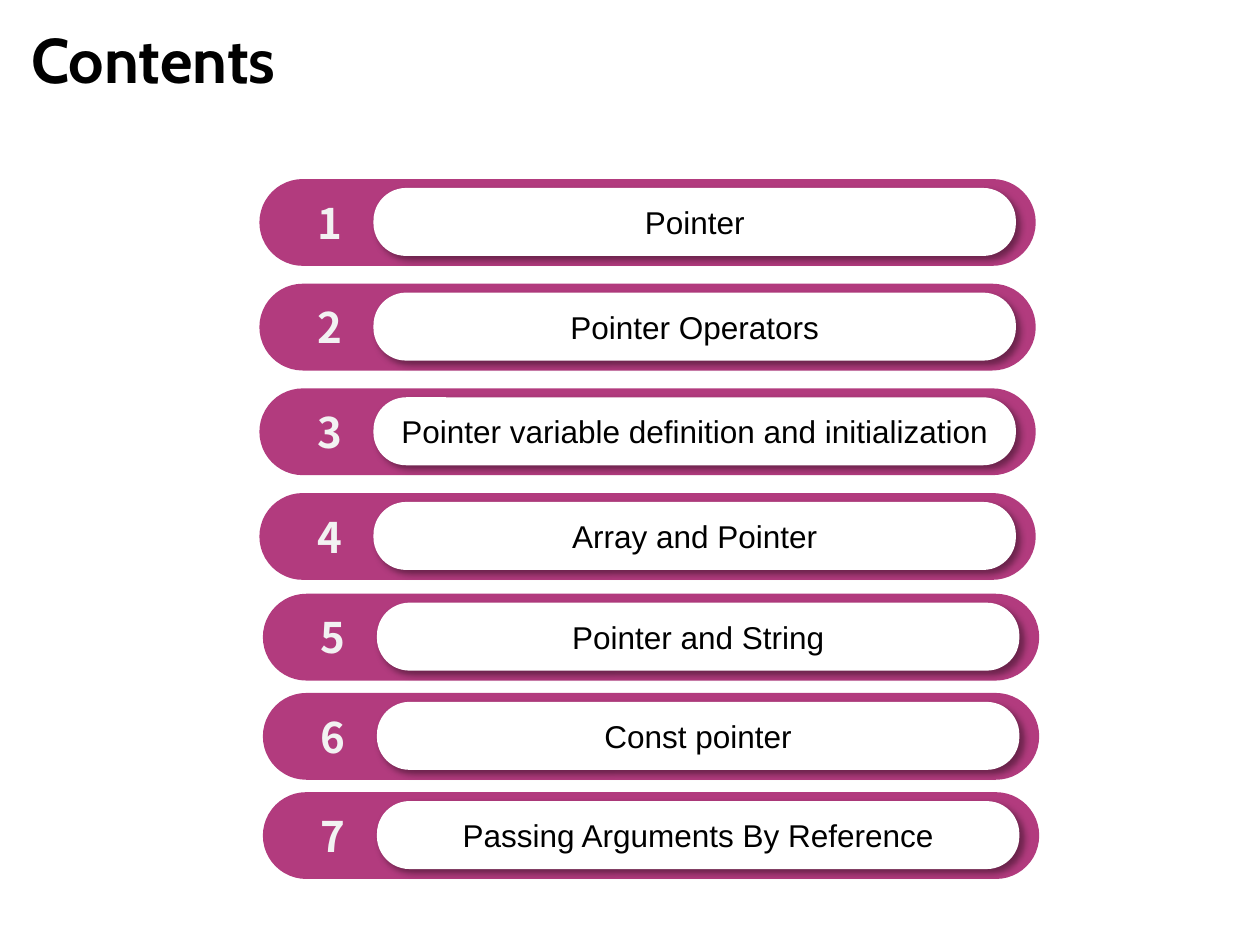
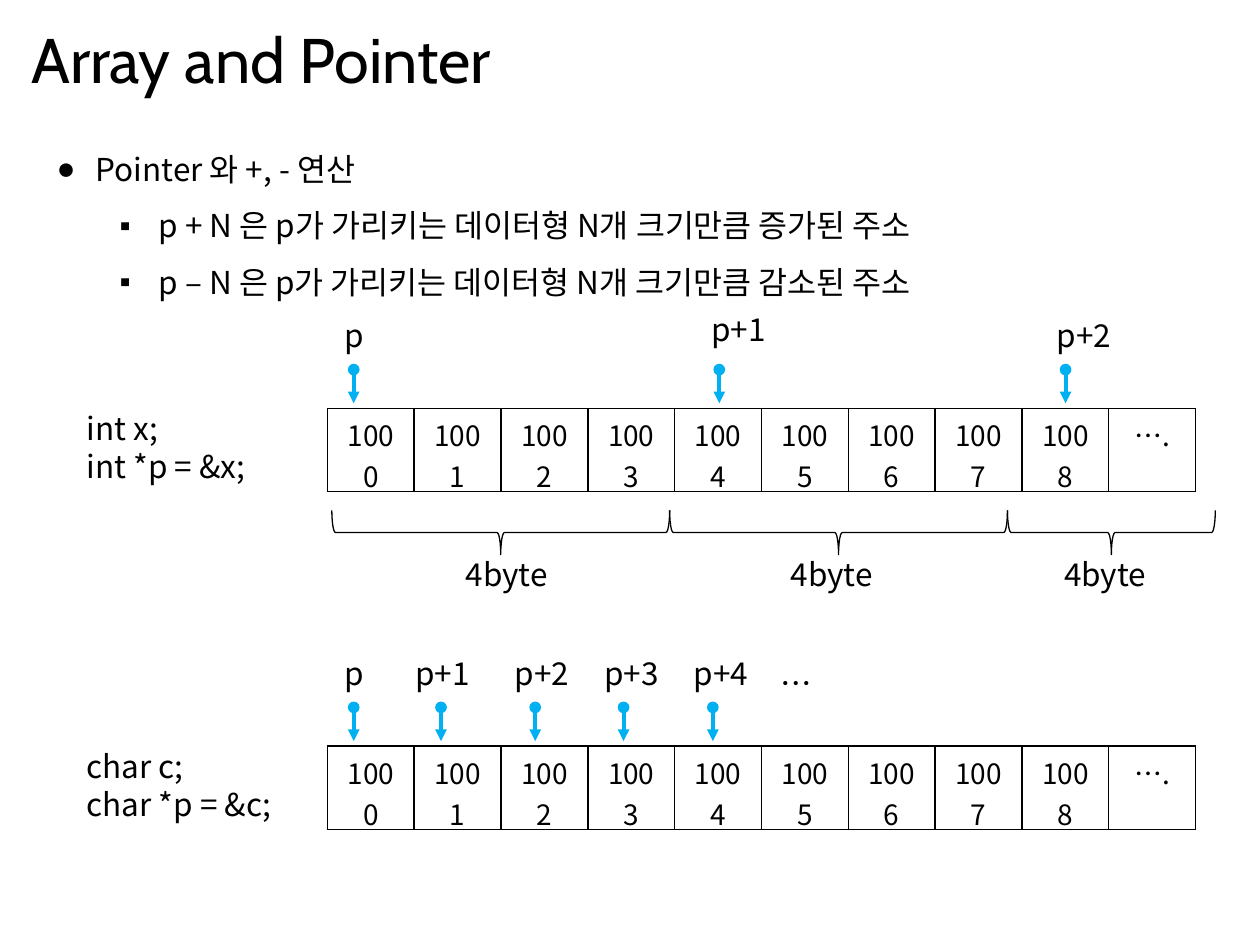
from dataclasses import dataclass

from lxml import etree
from pptx import Presentation
from pptx.dml.color import RGBColor
from pptx.enum.shapes import MSO_CONNECTOR, MSO_SHAPE
from pptx.enum.text import MSO_ANCHOR, MSO_AUTO_SIZE, PP_ALIGN
from pptx.oxml.ns import qn
from pptx.util import Cm, Pt

LEFT, CENTER = PP_ALIGN.LEFT, PP_ALIGN.CENTER
TOP, MIDDLE = MSO_ANCHOR.TOP, MSO_ANCHOR.MIDDLE
GROW = MSO_AUTO_SIZE.SHAPE_TO_FIT_TEXT
ROUNDED, BRACE = MSO_SHAPE.ROUNDED_RECTANGLE, MSO_SHAPE.LEFT_BRACE
STRAIGHT = MSO_CONNECTOR.STRAIGHT


@dataclass(frozen=True)
class Theme:
    ink: str = "000000"
    paper: str = "FFFFFF"
    band: str = "B23B7E"
    number: str = "F2F2F2"
    arrow: str = "00B0F0"
    title_font: str = "Cabin"
    topic_font: str = "Arial"
    body_font: str = "Noto Sans CJK KR"
    title_size: int = 36
    number_size: int = 24
    body_size: int = 18
    cell_size: int = 16


THEME = Theme()


@dataclass(frozen=True)
class Box:
    left: float
    top: float
    width: float
    height: float

    def inner(self, left, top, width, height):
        """A box whose corner is measured from this box's corner."""
        return Box(self.left + left, self.top + top, width, height)

    def lengths(self):
        return Cm(self.left), Cm(self.top), Cm(self.width), Cm(self.height)


def rgb(colour):
    return RGBColor.from_string(colour)


def add_xml(parent, tag, **attributes):
    names = {key: str(value) for key, value in attributes.items()}
    return etree.SubElement(parent, qn(tag), names)


def write_para(para, text, font=THEME.body_font, size=THEME.body_size,
               colour=THEME.ink, bold=False, align=LEFT):
    para.alignment = align
    span = para.add_run()
    span.text = text
    span.font.name = font
    span.font.size = Pt(size)
    span.font.bold = bold
    span.font.color.rgb = rgb(colour)
    add_xml(span.font._element, "a:ea", typeface=font)


def write_frame(frame, text, wrap=True, anchor=TOP, **style):
    """Fill a text frame with one paragraph for each line of text."""
    frame.word_wrap = wrap
    frame.vertical_anchor = anchor
    for index, line in enumerate(text.split("\n")):
        para = frame.add_paragraph() if index else frame.paragraphs[0]
        write_para(para, line, **style)


def add_text(page, box, text, grow=True, **style):
    frame = page.shapes.add_textbox(*box.lengths()).text_frame
    write_frame(frame, text, **style)
    if grow:
        frame.auto_size = GROW
    return frame


def add_title(page, text, bold=False):
    add_text(page, Box(0.38, 0.3, 22.86, 1.75), text, grow=False,
             anchor=MIDDLE, font=THEME.title_font, size=THEME.title_size,
             bold=bold)


def add_pill(page, box, fill, roundness):
    pill = page.shapes.add_shape(ROUNDED, *box.lengths())
    pill.adjustments[0] = roundness
    pill.shadow.inherit = False
    pill.fill.solid()
    pill.fill.fore_color.rgb = rgb(fill)
    pill.line.fill.background()
    return pill


def cast_shadow(shape):
    effects = shape._element.spPr.find(qn("a:effectLst"))
    shadow = add_xml(effects, "a:outerShdw", blurRad=Pt(4), dist=Pt(3),
                     dir=45 * 60000, algn="tl", rotWithShape=0)
    add_xml(add_xml(shadow, "a:srgbClr", val=THEME.ink), "a:alpha", val=40000)


def add_topic(page, box, number, topic):
    add_pill(page, box, THEME.band, 0.5)
    add_text(page, box.inner(0.68, 0.24, 1.47, 1.27), str(number),
             font=THEME.body_font, size=THEME.number_size,
             colour=THEME.number, bold=True, align=CENTER)
    label = add_pill(page, box.inner(2.3, 0.18, 12.95, 1.37),
                     THEME.paper, 0.48)
    cast_shadow(label)
    write_frame(label.text_frame, topic, anchor=MIDDLE,
                font=THEME.topic_font, align=CENTER)


def add_topics(page, box, topics, pitch, first):
    for index, topic in enumerate(topics):
        row = box.inner(0, index * pitch, box.width, 1.75)
        add_topic(page, row, first + index, topic)


def add_bullets(page, box, items):
    """Items are pairs of indent level and text."""
    frame = add_text(page, box, "\n".join(text for _, text in items),
                     wrap=False)
    for para, (level, _) in zip(frame.paragraphs, items):
        para.level = level
        para.line_spacing = 1.5
        props = para._p.get_or_add_pPr()
        props.set("marL", str(Cm((0.79, 2.06)[level])))
        props.set("indent", str(Cm(-0.79)))
        add_xml(props, "a:buFont", typeface=THEME.topic_font)
        add_xml(props, "a:buChar", char="●▪"[level])


def add_arrow(page, x, top, bottom):
    arrow = page.shapes.add_connector(STRAIGHT, Cm(x), Cm(top),
                                      Cm(x), Cm(bottom))
    arrow.line.color.rgb = rgb(THEME.arrow)
    arrow.line.width = Pt(2.25)
    line = arrow.line._get_or_add_ln()
    add_xml(line, "a:headEnd", type="oval")
    add_xml(line, "a:tailEnd", type="triangle")
    add_xml(arrow._element.spPr, "a:effectLst")


def add_brace(page, box):
    """A brace below a range, pointing down: a left brace turned upright."""
    shift = (box.width - box.height) / 2
    upright = box.inner(shift, -shift, box.height, box.width)
    brace = page.shapes.add_shape(BRACE, *upright.lengths())
    brace.rotation = 270
    brace.shadow.inherit = False
    brace.fill.background()
    brace.line.color.rgb = rgb(THEME.ink)
    brace.line.width = Pt(0.75)


def frame_cell(cell):
    props = cell._tc.get_or_add_tcPr()
    for side in ("a:lnL", "a:lnR", "a:lnT", "a:lnB"):
        line = add_xml(props, side, w=Pt(1))
        add_xml(add_xml(line, "a:solidFill"), "a:srgbClr", val=THEME.ink)
    cell.fill.background()


def add_cells(page, box, values):
    table = page.shapes.add_table(1, len(values), *box.lengths()).table
    table.first_row = table.horz_banding = False
    for index, value in enumerate(values):
        table.columns[index].width = Cm(box.width / len(values))
        cell = table.cell(0, index)
        write_para(cell.text_frame.paragraphs[0], value,
                   size=THEME.cell_size, align=CENTER)
        frame_cell(cell)


def add_memory(page, box, code, pointers):
    """Declaration, memory cells and pointers (label, left, rise, arrow x).

    Pointer places count from the corner of the cells; returns their box.
    """
    add_text(page, box.inner(0, -0.1, 5, 1.8), code, wrap=False)
    cells = box.inner(5.1, 0, 17.5, 1.68)
    add_cells(page, cells, [str(1000 + n) for n in range(9)] + ["…."])
    for label, left, rise, arrow_x in pointers:
        add_text(page, cells.inner(left, -rise, 1.78, 1.02), label,
                 wrap=False)
        if arrow_x is not None:
            add_arrow(page, cells.left + arrow_x,
                      cells.top - 0.78, cells.top - 0.1)
    return cells


def add_byte_ranges(page, cells, ranges):
    """Ranges are pairs of brace width and label place, laid end to end."""
    left = 0.09
    for width, label_left in ranges:
        add_brace(page, cells.inner(left, 2.06, width, 0.89))
        add_text(page, cells.inner(label_left, 2.84, 2.41, 1.02), "4byte",
                 wrap=False)
        left += width


def build_contents(page):
    add_title(page, "Contents", bold=True)
    add_topics(page, Box(5.23, 3.61, 15.65, 8.1),
               ["Pointer", "Pointer Operators",
                "Pointer variable definition and initialization",
                "Array and Pointer"], pitch=2.11, first=1)
    add_topics(page, Box(5.3, 11.97, 15.65, 5.76),
               ["Pointer and String", "Const pointer",
                "Passing Arguments By Reference"], pitch=2, first=5)


def build_array_and_pointer(page):
    add_title(page, "Array and Pointer")
    add_bullets(page, Box(0.89, 2.51, 20.29, 3.71), [
        (0, "Pointer 와 +, - 연산"),
        (1, "p + N 은 p가 가리키는 데이터형 N개 크기만큼 증가된 주소"),
        (1, "p – N 은 p가 가리키는 데이터형 N개 크기만큼 감소된 주소")])
    cells = add_memory(page, Box(1.5, 8.23, 22.6, 3.86),
                       "int x;\nint *p = &x;",
                       [("p", 0.1, 1.98, 0.53), ("p+1", 7.49, 2.11, 7.9),
                        ("p+2", 14.45, 1.98, 14.88)])
    add_byte_ranges(page, cells, [(6.81, 2.54), (6.81, 9.09), (4.19, 14.6)])
    add_memory(page, Box(1.5, 15.04, 22.6, 1.68),
               "char c;\nchar *p = &c;",
               [("p", 0.1, 1.98, 0.53), ("p+1", 1.52, 1.98, 2.29),
                ("p+2", 3.53, 1.98, 4.19), ("p+3", 5.33, 1.98, 5.97),
                ("p+4", 7.14, 1.98, 7.77), ("…", 8.89, 1.78, None)])


def main():
    deck = Presentation()
    deck.slide_width, deck.slide_height = Cm(25.4), Cm(19.05)
    for build in (build_contents, build_array_and_pointer):
        build(deck.slides.add_slide(deck.slide_layouts[6]))
    deck.save("out.pptx")


if __name__ == "__main__":
    main()
